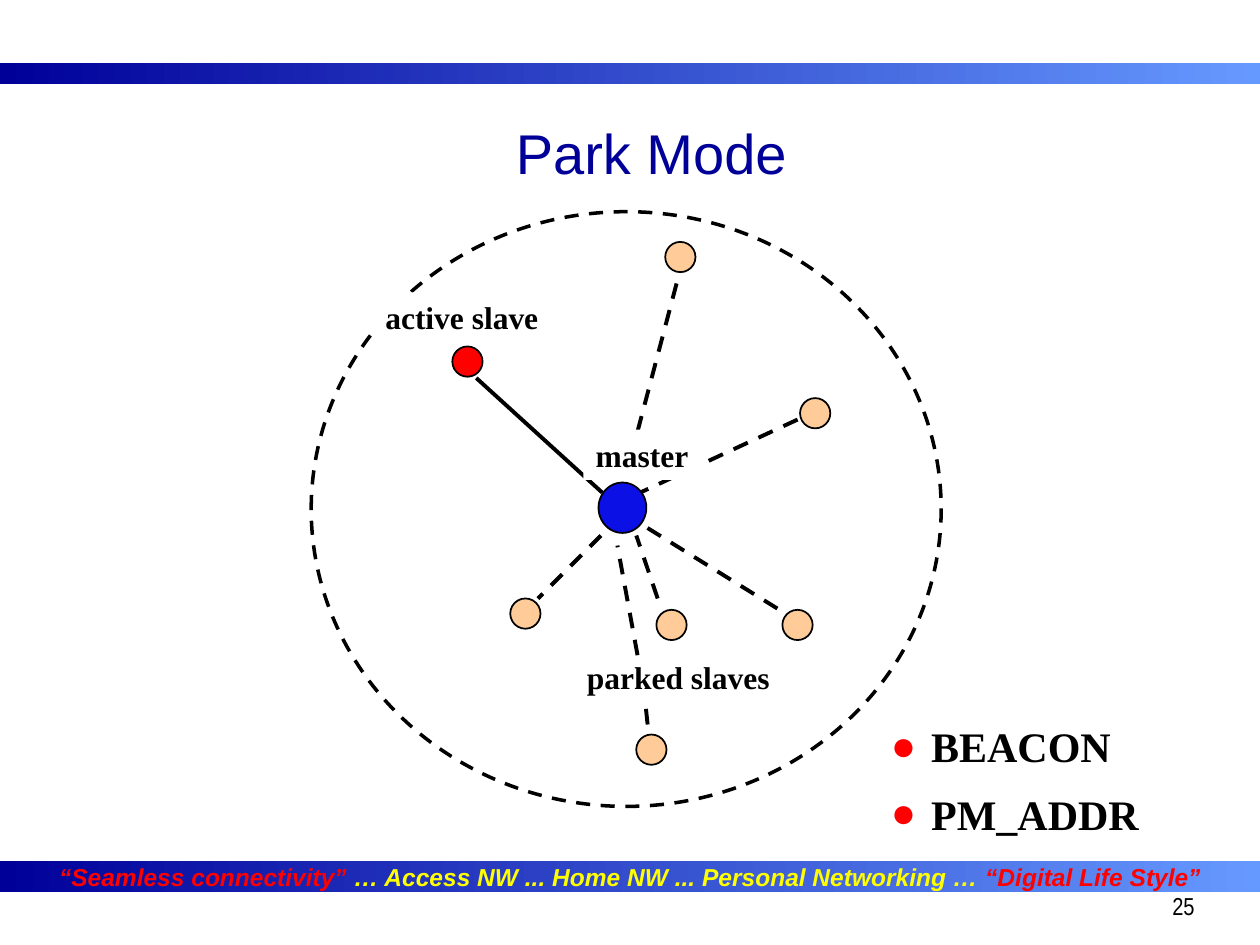
from lxml import etree
from pptx import Presentation
from pptx.dml.color import RGBColor
from pptx.enum.dml import MSO_LINE
from pptx.enum.shapes import MSO_CONNECTOR, MSO_SHAPE
from pptx.enum.text import MSO_ANCHOR, MSO_AUTO_SIZE, PP_ALIGN
from pptx.oxml.ns import qn
from pptx.util import Inches, Pt

NAVY, SKY, BLUE = "000099", "6699FF", "0B10E5"
RED, YELLOW, PEACH = "FF0000", "FFFF00", "FFCC99"
BLACK, WHITE = "000000", "FFFFFF"

TITLE = "Park Mode"
BULLETS = ["BEACON", "PM_ADDR"]
SLOGAN = [
    ("“Seamless connectivity”", RED),
    (" … Access NW ... Home NW ... Personal Networking … ", YELLOW),
    ("“Digital Life Style”", RED),
]
PAGE_NUMBER = "25"

# left, top, width, height
TOP_BAND = (0, 0.5, 10, 0.17)
BOTTOM_BAND = (0, 6.83, 10, 0.25)
PICONET = (2.47, 1.68, 5, 4.72)
MASTER = (4.75, 3.83, 0.38, 0.4)
SLAVE_LABELS = [
    ("active slave", (2.96, 2.32, 1.41, 0.4)),
    ("parked slaves", (4.56, 5.17, 1.65, 0.4)),
]
MASTER_LABEL = ("master", (4.63, 3.41, 0.93, 0.4))

# left, top of each slave node
NODE_SIZE = 0.24
ACTIVE_SLAVE = (3.59, 2.75)
PARKED_SLAVES = [(4.05, 4.75), (5.05, 5.83), (6.21, 4.84),
                 (5.21, 4.84), (6.35, 3.16), (5.28, 1.92)]

# start x, start y, end x, end y
ACTIVE_LINK = (3.78, 3, 4.78, 3.91)
PARKED_LINKS = [
    (4.77, 4.25, 4.27, 4.75),
    (5.22, 4.75, 5.05, 4.25),
    (6.17, 4.83, 5.09, 4.16),
    (6.33, 3.33, 5.08, 3.91),
    (5.37, 2.25, 5.04, 3.5),
    (5.06, 5.2, 4.9, 4.33),
    (5.14, 5.75, 5.12, 5.56),
]


def color(hex_code):
    return RGBColor.from_string(hex_code)


def inches(lengths):
    return [Inches(length) for length in lengths]


def place(shape, area):
    shape.left, shape.top, shape.width, shape.height = inches(area)


def set_font(target, name, size, hex_code=None, bold=False, italic=False):
    font = target.font
    font.name, font.size, font.bold, font.italic = name, Pt(size), bold, italic
    if hex_code:
        font.color.rgb = color(hex_code)


def add_shape(page, kind, area, fill=None, line_width=None, dashed=False):
    shape = page.shapes.add_shape(kind, *inches(area))
    shape.shadow.inherit = False
    if fill:
        shape.fill.solid()
        shape.fill.fore_color.rgb = color(fill)
    else:
        shape.fill.background()
    if line_width:
        shape.line.color.rgb = color(BLACK)
        shape.line.width = Pt(line_width)
        if dashed:
            shape.line.dash_style = MSO_LINE.DASH
    else:
        shape.line.fill.background()
    return shape


def add_band(page, area):
    band = add_shape(page, MSO_SHAPE.RECTANGLE, area)
    band.fill.gradient()
    band.fill.gradient_angle = 0
    for stop, hex_code in zip(band.fill.gradient_stops, (NAVY, SKY)):
        stop.color.rgb = color(hex_code)
    return band


def add_node(page, corner, fill):
    add_shape(page, MSO_SHAPE.OVAL, (*corner, NODE_SIZE, NODE_SIZE), fill, 1)


def add_link(page, ends, dashed):
    link = page.shapes.add_connector(MSO_CONNECTOR.STRAIGHT, *inches(ends))
    link.line.color.rgb = color(BLACK)
    link.line.width = Pt(2.25)
    if dashed:
        link.line.dash_style = MSO_LINE.DASH
    etree.SubElement(link._element.spPr, qn("a:effectLst"))


def add_label(page, text, area):
    label = add_shape(page, MSO_SHAPE.RECTANGLE, area, WHITE)
    frame = label.text_frame
    frame.word_wrap = False
    frame.vertical_anchor = MSO_ANCHOR.TOP
    para = frame.paragraphs[0]
    para.text = text
    para.alignment = PP_ALIGN.LEFT
    set_font(para, "Times New Roman", 18, BLACK, bold=True)


def add_bullet(para, character, hex_code, indent):
    properties = para._p.get_or_add_pPr()
    properties.set("marL", str(Inches(indent)))
    properties.set("indent", str(-Inches(indent)))
    bullet_color = etree.SubElement(properties, qn("a:buClr"))
    etree.SubElement(bullet_color, qn("a:srgbClr"), val=hex_code)
    etree.SubElement(properties, qn("a:buFont"), typeface="Times New Roman")
    etree.SubElement(properties, qn("a:buChar"), char=character)


def fill_title(title):
    place(title, (0.67, 0.92, 9, 0.58))
    frame = title.text_frame
    frame.text = TITLE
    frame.auto_size = MSO_AUTO_SIZE.NONE
    frame.vertical_anchor = MSO_ANCHOR.MIDDLE
    frame.paragraphs[0].alignment = PP_ALIGN.CENTER
    set_font(frame.paragraphs[0], "Arial", 32, NAVY)


def fill_bullets(body):
    place(body, (6.97, 5.67, 2.41, 1.33))
    frame = body.text_frame
    frame.text = "\n".join(BULLETS)
    frame.auto_size = MSO_AUTO_SIZE.NONE
    for index, para in enumerate(frame.paragraphs):
        add_bullet(para, "●", RED, 0.32)
        para.space_before = Pt(10 if index else 0)
        set_font(para, "Times New Roman", 24, BLACK, bold=True)


def write_slogan(band):
    frame = band.text_frame
    frame.word_wrap = False
    frame.vertical_anchor = MSO_ANCHOR.MIDDLE
    para = frame.paragraphs[0]
    para.alignment = PP_ALIGN.CENTER
    set_font(para, "Arial", 14, bold=True, italic=True)
    for text, hex_code in SLOGAN:
        span = para.add_run()
        span.text = text
        span.font.color.rgb = color(hex_code)


def add_page_number(page):
    box = page.shapes.add_textbox(*inches((7.5, 7, 2.08, 0.5)))
    box.text_frame.word_wrap = True
    para = box.text_frame.paragraphs[0]
    para.text = PAGE_NUMBER
    para.alignment = PP_ALIGN.RIGHT
    para.line_spacing = 1.1
    set_font(para, "Arial Narrow", 14, BLACK)


def main():
    deck = Presentation()
    deck.slide_width, deck.slide_height = inches((10, 7.5))
    page = deck.slides.add_slide(deck.slide_layouts[1])
    fill_title(page.shapes.title)
    fill_bullets(page.placeholders[1])

    add_band(page, TOP_BAND)
    write_slogan(add_band(page, BOTTOM_BAND))

    add_shape(page, MSO_SHAPE.OVAL, PICONET, line_width=2, dashed=True)
    add_node(page, ACTIVE_SLAVE, RED)
    for corner in PARKED_SLAVES:
        add_node(page, corner, PEACH)
    for text, area in SLAVE_LABELS:
        add_label(page, text, area)
    add_link(page, ACTIVE_LINK, dashed=False)
    for ends in PARKED_LINKS:
        add_link(page, ends, dashed=True)
    add_label(page, *MASTER_LABEL)
    add_shape(page, MSO_SHAPE.OVAL, MASTER, BLUE, 1)
    add_page_number(page)
    deck.save("out.pptx")


if __name__ == "__main__":
    main()
